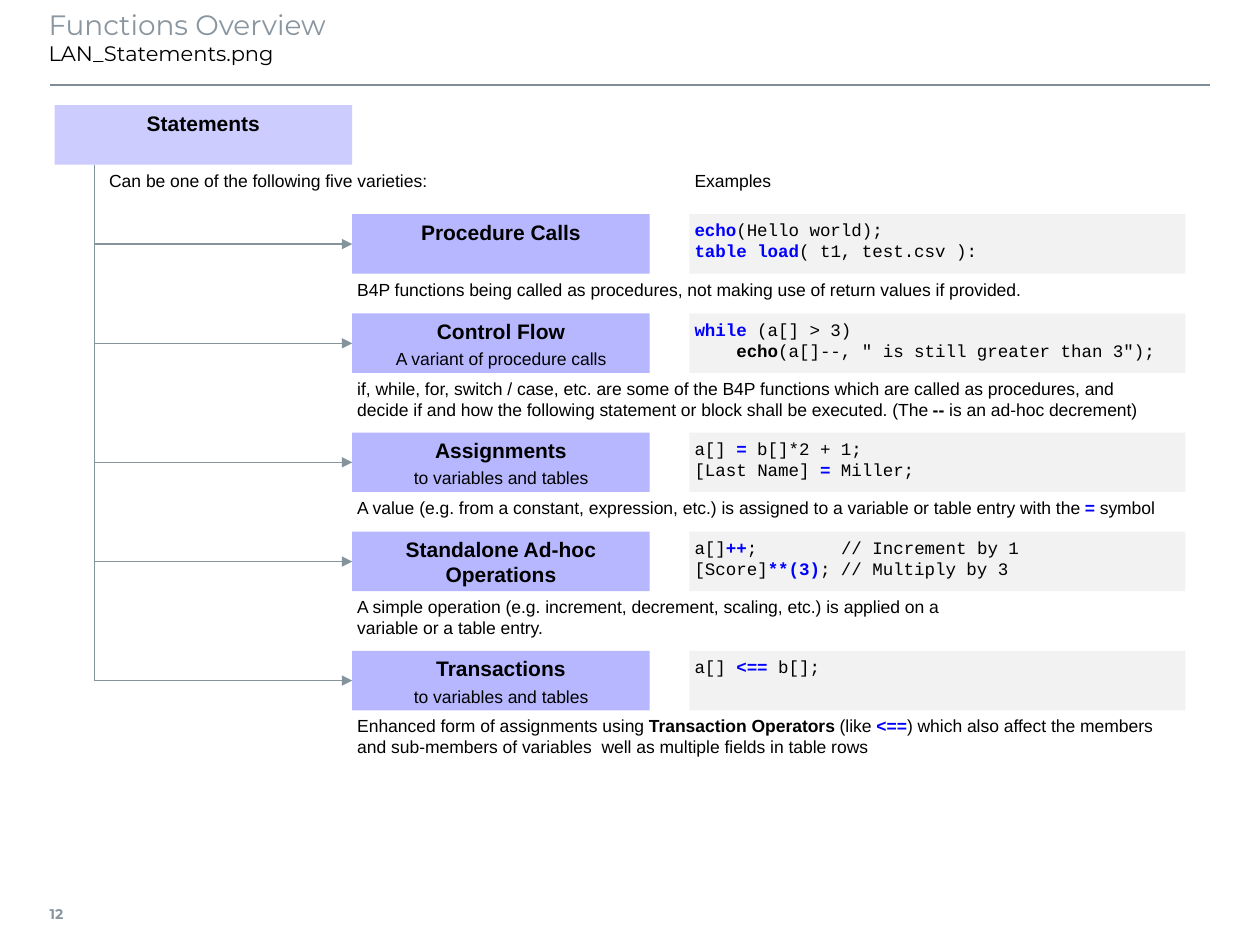
from lxml import etree
from pptx import Presentation
from pptx import util as u
from pptx.dml.color import RGBColor
from pptx.enum import shapes, text
from pptx.oxml.ns import qn

COLORS = {"ink": "000000", "keyword": "0000FF", "title": "8996A0", "rule": "808D97",
          "arrow": "85939D", "root": "CCCCFF", "kind": "B7B7FF", "code": "F2F2F2"}
STYLES = {
    "heading": {"name": "Arial", "size": u.Pt(12), "bold": True},
    "body": {"name": "Arial", "size": u.Pt(10)},
    "code": {"name": "Courier New", "size": u.Pt(10)},
    "title": {"name": "Montserrat", "size": u.Pt(16)},
    "subtitle": {"name": "Montserrat", "size": u.Pt(12)},
    "number": {"name": "Montserrat", "size": u.Pt(8), "bold": True},
}
CELL = u.Mm(2)
LEFT, TOP = u.Mm(11), u.Mm(21.2)
TRUNK, KIND, CODE = 4, 30, 64
KIND_WIDTH, CODE_WIDTH, BOX_HEIGHT = 30, 50, 6
NOTE_WIDTH, CAPTION_WIDTH = 84, 34
CENTER = text.PP_ALIGN.CENTER
PAD = u.Inches(0.04)


def key(words):
    return words, "keyword"


def strong(words):
    return words, "ink"


VARIETIES = [
    (["Procedure Calls"], None,
     [[key("echo"), "(Hello world);"], [key("table load"), "( t1, test.csv ):"]],
     [["B4P functions being called as procedures, not making use of return values if provided."]]),
    (["Control Flow"], "A variant of procedure calls",
     [[key("while"), " (a[] > 3)"],
      ["    ", strong("echo"), '(a[]--, " is still greater than 3");']],
     [["if, while, for, switch / case, etc. are some of the B4P functions which are called as procedures, and"],
      ["decide if and how the following statement or block shall be executed. (The ",
       strong("--"), " is an ad-hoc decrement)"]]),
    (["Assignments"], "to variables and tables",
     [["a[] ", key("="), " b[]*2 + 1;"], ["[Last Name] ", key("="), " Miller;"]],
     [["A value (e.g. from a constant, expression, etc.) is assigned to a variable or table entry with the ",
       key("="), " symbol"]]),
    (["Standalone Ad-hoc", "Operations"], None,
     [["a[]", key("++"), ";        // Increment by 1"],
      ["[Score]", key("**(3)"), "; // Multiply by 3"]],
     [["A simple operation (e.g. increment, decrement, scaling, etc.) is applied on a"],
      ["variable or a table entry."]]),
    (["Transactions"], "to variables and tables",
     [["a[] ", key("<=="), " b[];"]],
     [["Enhanced form of assignments using ", strong("Transaction Operators"), " (like ",
       key("<=="), ") which also affect the members"],
      ["and sub-members of variables  well as multiple fields in table rows"]]),
]


def rgb(name):
    return RGBColor.from_string(COLORS[name])


def place(column, row):
    return LEFT + round(column * CELL), TOP + round(row * CELL)


def add_span(para, words, style, color, **changes):
    span = para.add_run()
    span.text = words
    for field, value in {**STYLES[style], **changes}.items():
        setattr(span.font, field, value)
    span.font.color.rgb = rgb(color)


def write(box, lines, style, align=text.PP_ALIGN.LEFT):
    frame = box.text_frame
    settings = {"word_wrap": False, "vertical_anchor": text.MSO_ANCHOR.TOP,
                "margin_left": PAD, "margin_right": PAD,
                "margin_top": PAD, "margin_bottom": PAD}
    for field, value in settings.items():
        setattr(frame, field, value)
    for index, line in enumerate(lines):
        para = frame.add_paragraph() if index else frame.paragraphs[0]
        para.alignment = align
        for part in line:
            if isinstance(part, tuple):
                add_span(para, part[0], style, part[1], bold=True)
            else:
                add_span(para, part, style, "ink")


def add_block(page, column, row, width, fill, lines, style, align):
    block = page.shapes.add_shape(shapes.MSO_SHAPE.RECTANGLE, *place(column, row),
                                  width * CELL, BOX_HEIGHT * CELL)
    block.shadow.inherit = False
    block.fill.solid()
    block.fill.fore_color.rgb = rgb(fill)
    block.line.fill.background()
    write(block, lines, style, align)
    return block


def add_note(page, column, row, width, lines, align=text.PP_ALIGN.LEFT):
    box = page.shapes.add_textbox(*place(column, row), width * CELL,
                                  (1 + 2 * len(lines)) * CELL)
    write(box, lines, "body", align)


def add_line(page, start, end, color, width, target=None):
    line = page.shapes.add_connector(shapes.MSO_CONNECTOR.STRAIGHT, *start, *end)
    line.line.color.rgb = rgb(color)
    line.line.width = u.Pt(width)
    if target is not None:
        line.end_connect(target, 1)
        etree.SubElement(line.line._get_or_add_ln(), qn("a:tailEnd"), type="triangle")
    etree.SubElement(line._element.spPr, qn("a:effectLst"))


def add_frame(page, deck):
    wide, high = deck.slide_width, deck.slide_height
    margin = u.Mm(10)
    rule = u.Mm(17.2)
    add_line(page, (margin, rule), (wide - margin, rule), "rule", 1)
    title = page.shapes.add_textbox(u.Mm(9.8), u.Inches(0.01), round(wide * 0.92), u.Inches(0.63))
    title.text_frame.word_wrap = True
    title.text_frame.margin_left = 0
    para = title.text_frame.paragraphs[0]
    add_span(para, "Functions Overview", "title", "title")
    para.add_line_break()
    add_span(para, "LAN_Statements.png", "subtitle", "ink")
    number = page.shapes.add_textbox(margin, round(high * 0.941), u.Inches(0.35), u.Inches(0.39))
    number.text_frame.margin_left = 0
    number.text_frame.word_wrap = False
    number.text_frame.vertical_anchor = text.MSO_ANCHOR.MIDDLE
    add_span(number.text_frame.paragraphs[0], "12", "number", "title")


def add_variety(page, row, names, subtitle, code, note):
    middle = row + BOX_HEIGHT / 2
    block = add_block(page, KIND, row, KIND_WIDTH, "kind", [[name] for name in names],
                      "heading", CENTER)
    add_block(page, CODE, row, CODE_WIDTH, "code", code, "code", text.PP_ALIGN.LEFT)
    if subtitle:
        add_note(page, KIND, middle, KIND_WIDTH, [[subtitle]], CENTER)
    add_note(page, KIND, row + BOX_HEIGHT, NOTE_WIDTH, note)
    add_line(page, place(TRUNK, middle), place(KIND, middle), "arrow", 0.75, block)
    return middle


def main():
    deck = Presentation()
    deck.slide_width, deck.slide_height = u.Inches(10), u.Inches(7.5)
    page = deck.slides.add_slide(deck.slide_layouts[6])
    add_frame(page, deck)
    add_block(page, 0, 0, KIND_WIDTH, "root", [["Statements"]], "heading", CENTER)
    add_note(page, 5, BOX_HEIGHT, CAPTION_WIDTH, [["Can be one of the following five varieties:"]])
    add_note(page, CODE, BOX_HEIGHT, CAPTION_WIDTH, [["Examples"]])
    row = 11
    for variety in VARIETIES:
        middle = add_variety(page, row, *variety)
        row += BOX_HEIGHT + 2 + 2 * len(variety[-1])
    add_line(page, place(TRUNK, BOX_HEIGHT), place(TRUNK, middle), "arrow", 0.75)
    deck.save("out.pptx")


if __name__ == "__main__":
    main()
